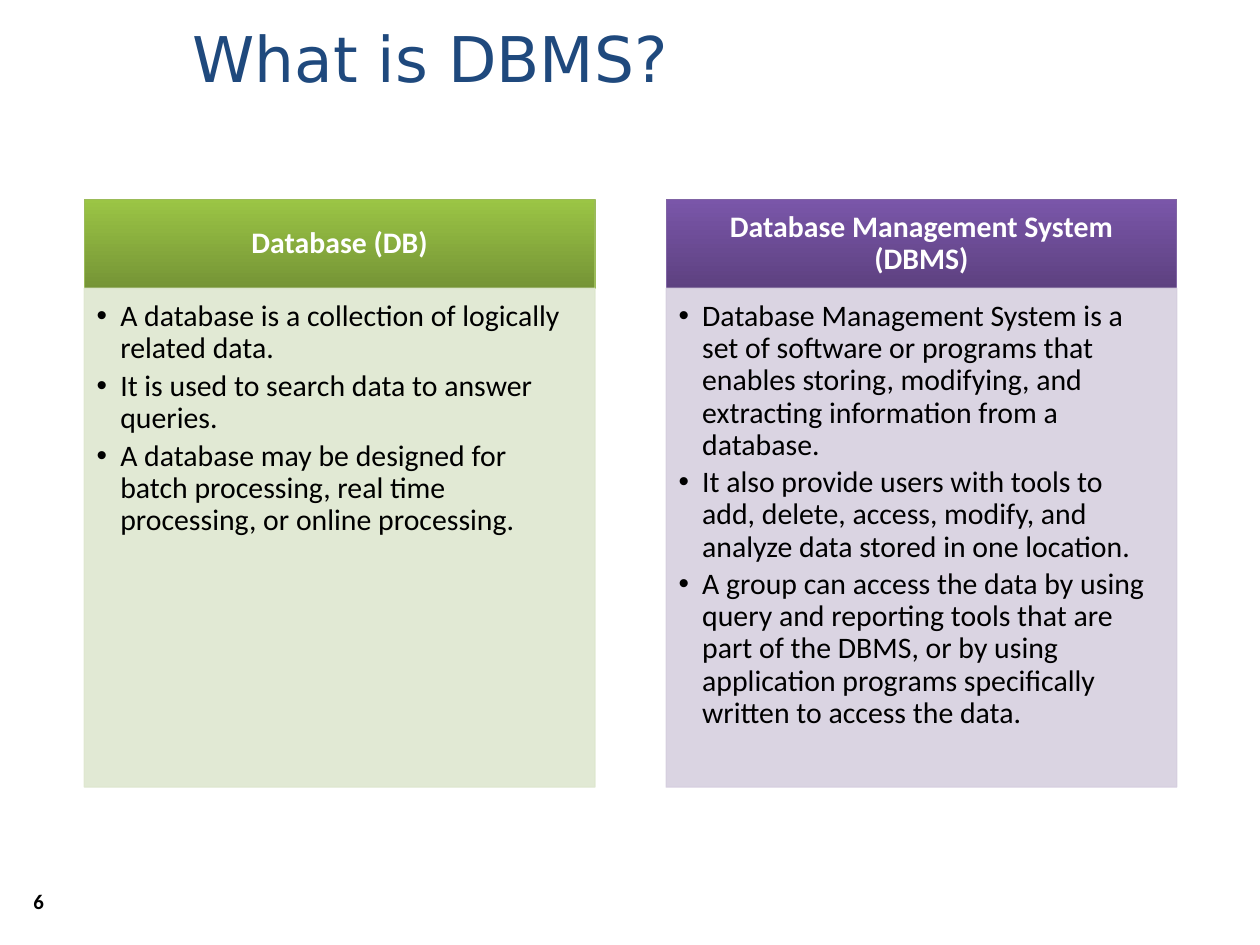
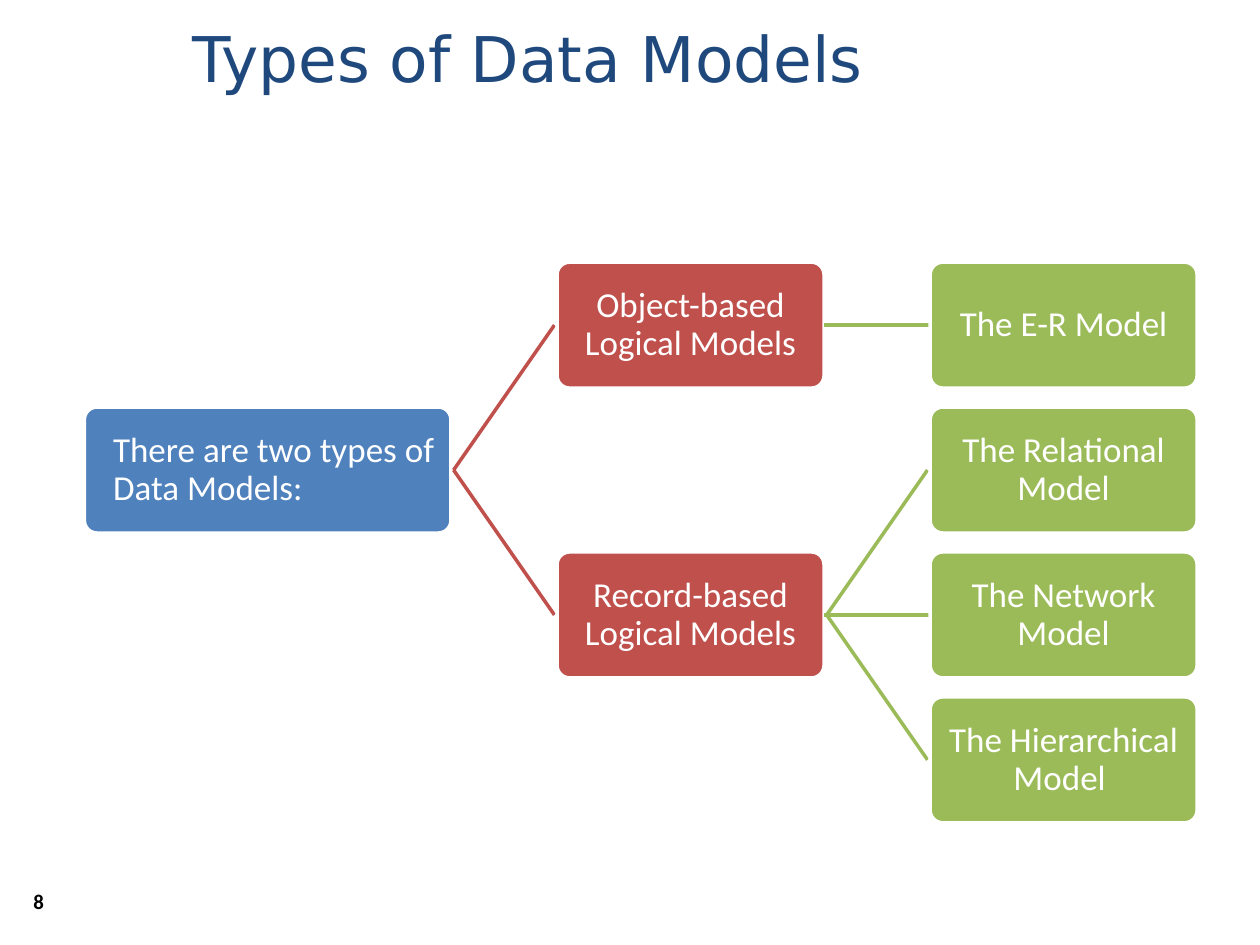
from dataclasses import dataclass

from lxml.etree import SubElement
from pptx import Presentation
from pptx.dml.color import RGBColor
from pptx.enum.shapes import MSO_CONNECTOR, MSO_SHAPE
from pptx.enum.text import MSO_ANCHOR, PP_ALIGN
from pptx.oxml.ns import qn
from pptx.util import Pt

# Content
PANELS = {
    "title": "What is DBMS?",
    "number": "6",
    "panels": [
        ("green", "Database (DB)", [
            "A database is a collection of logically related data.",
            "It is used to search data to answer queries.",
            "A database may be designed for batch processing, real time "
            "processing, or online processing.",
        ]),
        ("purple", "Database Management System (DBMS)", [
            "Database Management System is a set of software or programs that "
            "enables storing, modifying, and extracting information from a "
            "database.",
            "It also provide users with tools to add, delete, access, modify, "
            "and analyze data stored in one location.",
            "A group can access the data by using query and reporting tools "
            "that are part of the DBMS, or by using application programs "
            "specifically written to access the data.",
        ]),
    ],
}

# Each node: column, row, text, parent
MODELS = {
    "title": "Types of Data Models",
    "number": "8",
    "nodes": {
        "root": (0, 1, "There are two types of Data Models:", None),
        "object": (1, 0, "Object-based Logical Models", "root"),
        "record": (1, 2, "Record-based Logical Models", "root"),
        "er": (2, 0, "The E-R Model", "object"),
        "relation": (2, 1, "The Relational Model", "record"),
        "network": (2, 2, "The Network Model", "record"),
        "tree": (2, 3, "The Hierarchical Model ", "record"),
    },
}


@dataclass(frozen=True)
class Theme:
    head: str = "DejaVu Sans"
    body: str = "Calibri"
    title: float = 36
    number: float = 11.9
    panel: float = 17
    node: float = 20
    navy: str = "1F497D"
    black: str = "000000"
    white: str = "FFFFFF"
    levels: tuple = ("4F81BD", "C0504C", "9BBB59")


THEME = Theme()
# Header bottom, header top, header line, body
TINTS = {
    "green": ("759436", "9BC545", "9BBB59", "DEE7CF"),
    "purple": ("5D4180", "7A56A9", "8064A4", "D6CFDF"),
}

# Layout, in points
LEFT = 48.2
PANEL_TOP, PANEL_WIDE, PANEL_STEP = 113.8, 291.8, 332.5
HEAD_HIGH, BODY_HIGH = 51, 285
NODE_TOP, NODE_HIGH, NODE_STEP = 149.8, 72, 82.8
NODE_WIDES, NODE_GAP = (209.5, 152.6, 152.6), 60.6
TRIM = 1.5


def paint(part, tint):
    part.solid()
    part.fore_color.rgb = RGBColor.from_string(tint)


def fade(part, share):
    """Make a solid fill partly see-through."""
    for color in part._xPr.iter(qn("a:srgbClr")):
        SubElement(color, qn("a:alpha"), val=str(share * 1000))


def indent(para, left, first=0, bullet=None):
    props = para._p.get_or_add_pPr()
    props.set("marL", str(Pt(left)))
    props.set("indent", str(Pt(first)))
    if bullet:
        SubElement(props, qn("a:buFont"), typeface="Arial")
        SubElement(props, qn("a:buChar"), char=bullet)


def write(shape, lines, size, tint, font=THEME.body, bold=False,
          align=PP_ALIGN.LEFT, anchor=MSO_ANCHOR.MIDDLE,
          pads=(7.2, 3.6, 7.2, 3.6), pitch=0.9, after=0, bullet=None):
    frame = shape.text_frame
    frame.word_wrap = True
    frame.vertical_anchor = anchor
    (frame.margin_left, frame.margin_top,
     frame.margin_right, frame.margin_bottom) = map(Pt, pads)
    frame.text = "\n".join(lines)
    for para in frame.paragraphs:
        para.alignment = align
        para.line_spacing = pitch
        para.space_after = Pt(after)
        if bullet:
            indent(para, 13.5, -13.5, bullet)
        for run in para.runs:
            run.font.name = font
            run.font.size = Pt(size)
            run.font.bold = bold
            run.font.color.rgb = RGBColor.from_string(tint)


def block(slide, kind, place, edge, weight):
    shape = slide.shapes.add_shape(kind, *map(Pt, place))
    shape.shadow.inherit = False
    paint(shape.line.fill, edge)
    shape.line.width = Pt(weight)
    return shape


def start(deck, page):
    """Add a slide with its title and number."""
    slide = deck.slides.add_slide(deck.slide_layouts[6])
    title = slide.shapes.add_textbox(Pt(103), 0, Pt(617), Pt(66))
    write(title, [page["title"]], THEME.title, THEME.navy, THEME.head, pitch=1)
    number = slide.shapes.add_textbox(Pt(12), Pt(506), Pt(36), Pt(22))
    write(number, [page["number"]], THEME.number, THEME.black, bold=True,
          anchor=MSO_ANCHOR.TOP)
    return slide


def add_panel(slide, x, name, head, points):
    low, high, edge, pale = TINTS[name]
    top = block(slide, MSO_SHAPE.RECTANGLE,
                (x, PANEL_TOP, PANEL_WIDE, HEAD_HIGH), edge, 0.75)
    top.fill.gradient()
    top.fill.gradient_angle = 90
    for stop, tint in zip(top.fill.gradient_stops, (low, high)):
        stop.color.rgb = RGBColor.from_string(tint)
    write(top, [head], THEME.panel, THEME.white, bold=True,
          align=PP_ALIGN.CENTER, pads=(9.4, 5.5, 9.4, 5.5), after=7.4)

    body = block(slide, MSO_SHAPE.RECTANGLE,
                 (x, PANEL_TOP + HEAD_HIGH, PANEL_WIDE, BODY_HIGH), pale, 0.75)
    paint(body.fill, pale)
    fade(body.fill, 89)
    fade(body.line.fill, 89)
    write(body, points, THEME.panel, THEME.black, anchor=MSO_ANCHOR.TOP,
          pads=(7.2, 7.2, 9.4, 10.8), after=3.1, bullet="•")


def spot(col, row):
    """Left, top and width of a node."""
    x = LEFT + sum(NODE_WIDES[:col]) + NODE_GAP * col
    return x, NODE_TOP + NODE_STEP * row, NODE_WIDES[col]


def link(slide, here, there, tint):
    x, y, wide = spot(*here)
    end, drop, _ = spot(*there)
    trim = 0 if y == drop else TRIM
    ends = (x + wide + trim, y + NODE_HIGH / 2,
            end - trim, drop + NODE_HIGH / 2)
    line = slide.shapes.add_connector(MSO_CONNECTOR.STRAIGHT, *map(Pt, ends))
    paint(line.line.fill, tint)
    line.line.width = Pt(2)
    SubElement(line._element.spPr, qn("a:effectLst"))


def add_node(slide, col, row, text):
    x, y, wide = spot(col, row)
    node = block(slide, MSO_SHAPE.ROUNDED_RECTANGLE,
                 (x, y, wide, NODE_HIGH), THEME.white, 2)
    node.adjustments[0] = 0.1
    paint(node.fill, THEME.levels[col])
    write(node, [text], THEME.node, THEME.white, after=8.8, pads=(0.8,) * 4,
          align=PP_ALIGN.CENTER if col else PP_ALIGN.LEFT)
    if not col:
        indent(node.text_frame.paragraphs[0], 13.5)


def main():
    deck = Presentation()
    deck.slide_width, deck.slide_height = Pt(720), Pt(540)

    slide = start(deck, PANELS)
    for i, panel in enumerate(PANELS["panels"]):
        add_panel(slide, LEFT + PANEL_STEP * i, *panel)

    slide = start(deck, MODELS)
    nodes = MODELS["nodes"]
    for col, row, text, parent in nodes.values():
        if parent:
            link(slide, nodes[parent][:2], (col, row), THEME.levels[col])
        add_node(slide, col, row, text)

    deck.save("out.pptx")


if __name__ == "__main__":
    main()
